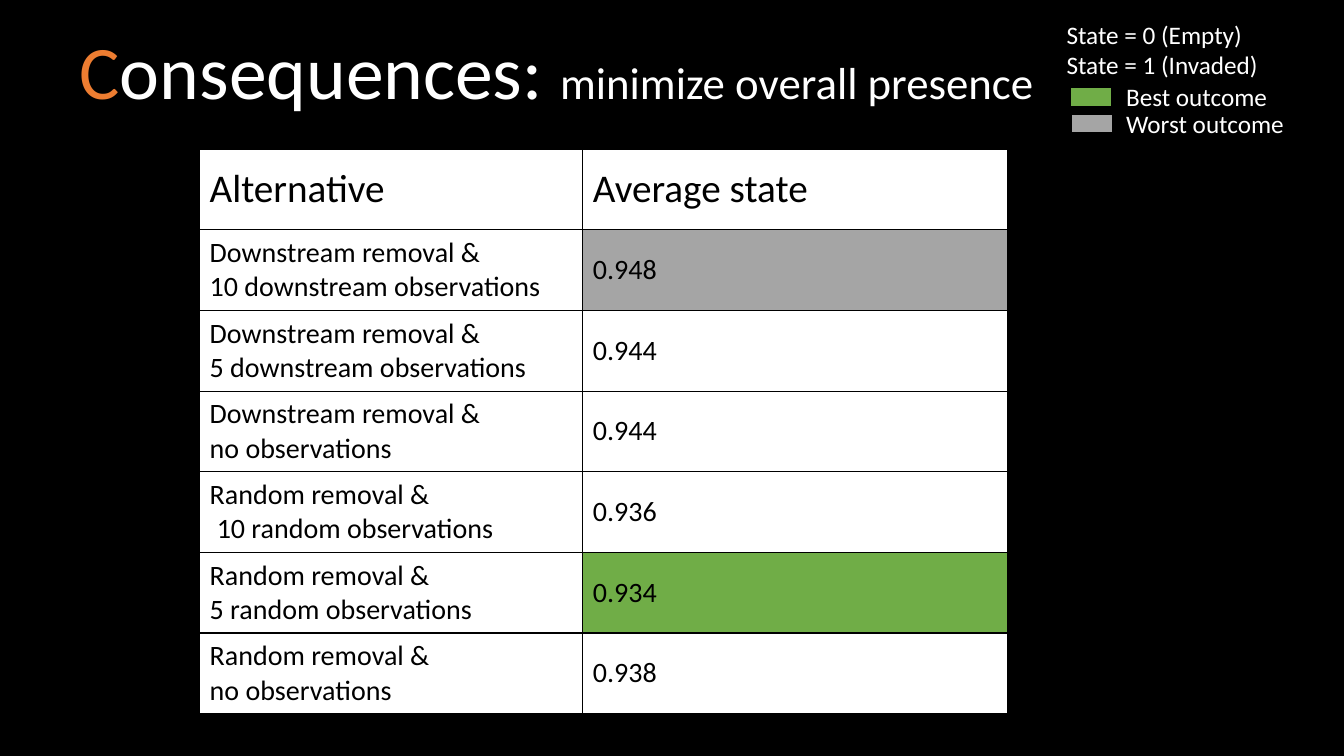
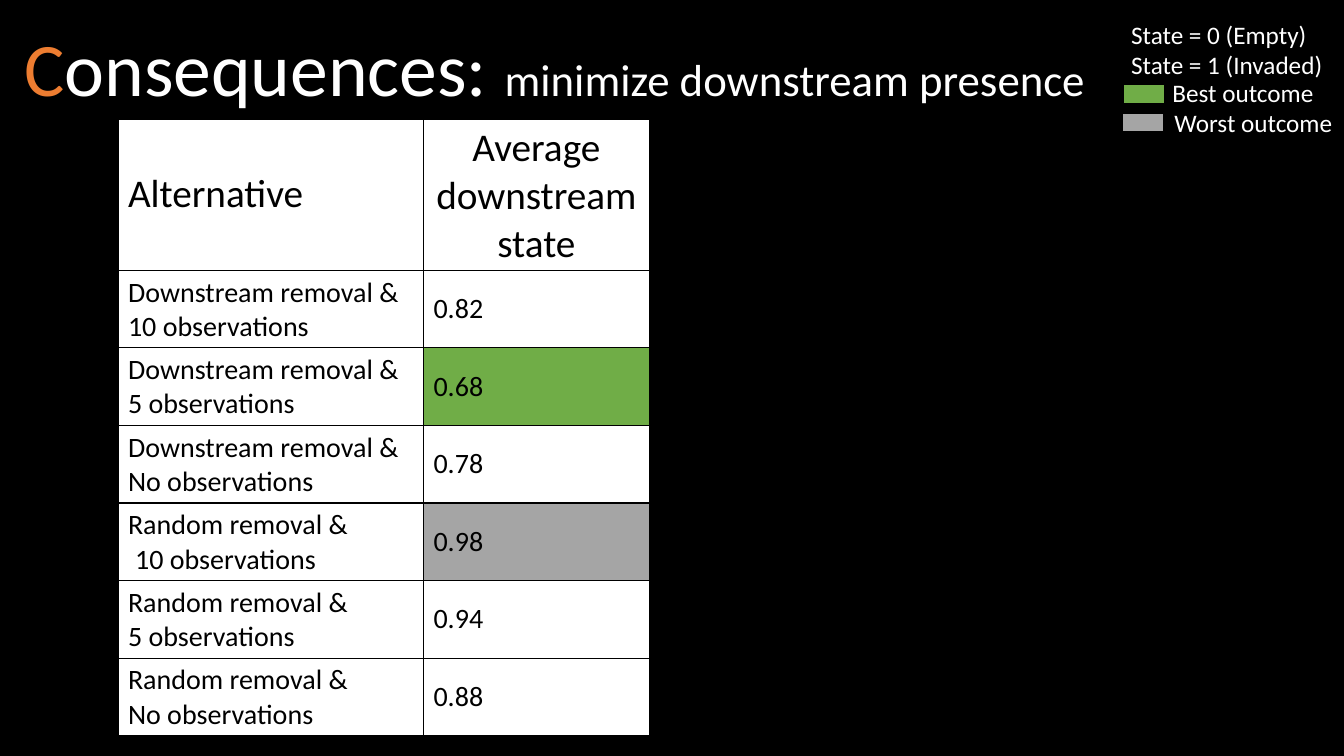
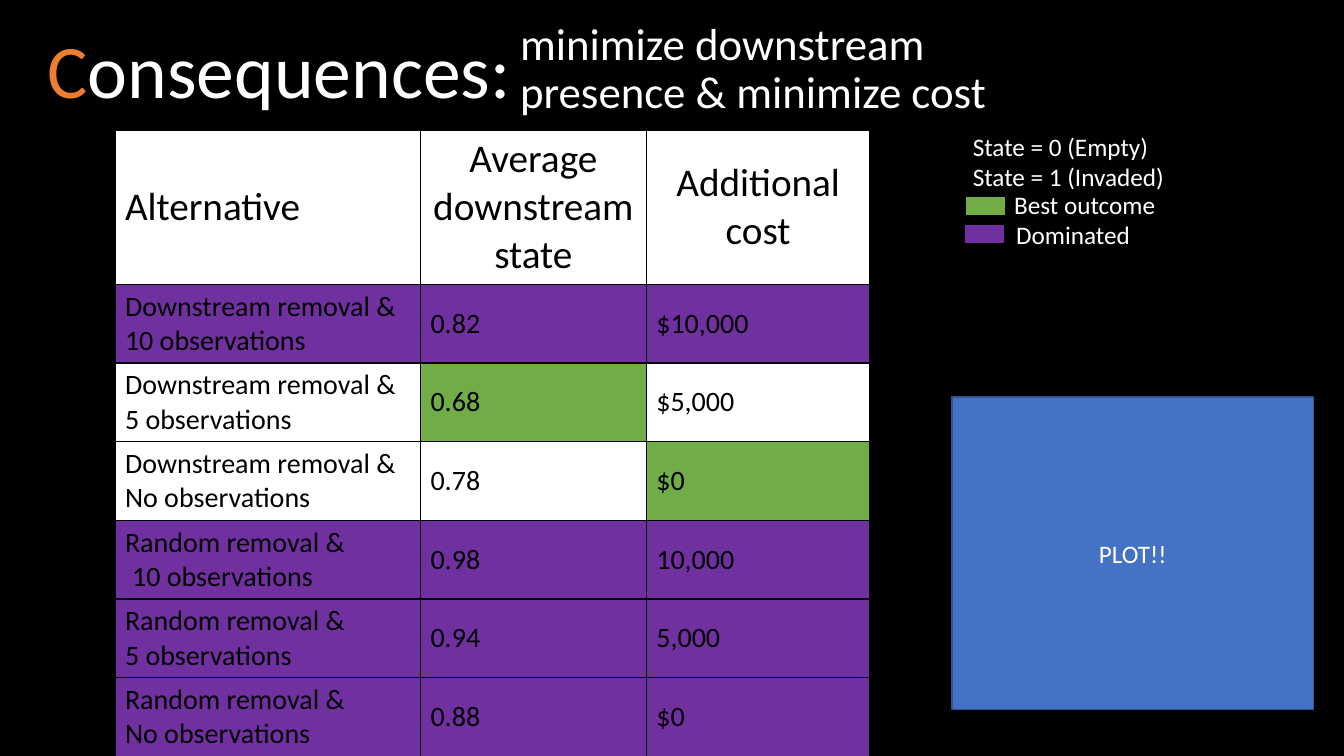
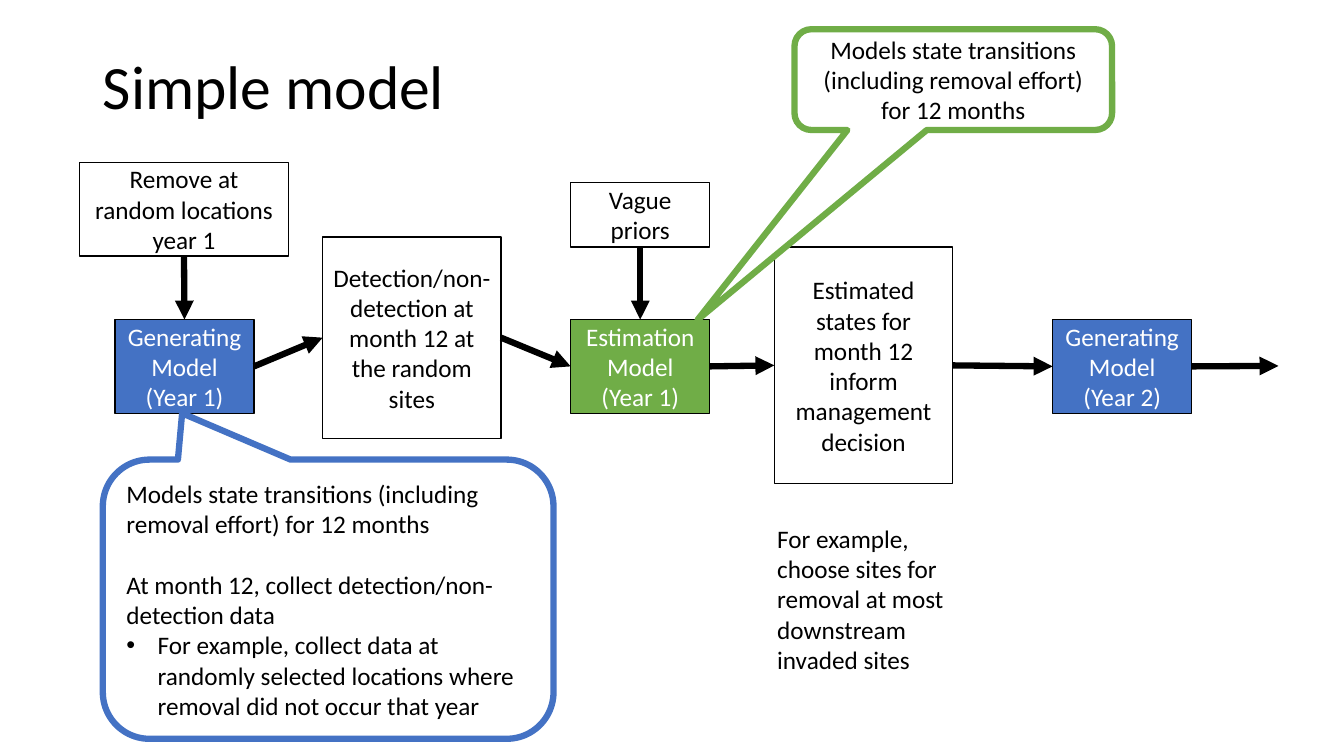
from itertools import product

from lxml.etree import SubElement
from pptx import Presentation
from pptx.dml.color import RGBColor
from pptx.enum.shapes import MSO_CONNECTOR, MSO_SHAPE
from pptx.enum.text import MSO_ANCHOR, MSO_AUTO_SIZE, PP_ALIGN
from pptx.oxml.ns import qn
from pptx.util import Inches, Pt

HUES = {
    "black": "000000", "white": "FFFFFF", "orange": "ED7D31",
    "green": "70AD47", "gray": "A5A5A5", "purple": "7030A0",
    "blue": "4472C4", "navy": "325491",
}
FONT = "Calibri"
TOP, LEFT, BOTTOM, RIGHT = range(4)
DOWN, RANDOM = "Downstream removal &", "Random removal &"
PLANS = list(product(
    (DOWN, RANDOM),
    ("10 observations", "5 observations", "No observations")))
STATES = ["0.82", "0.68", "0.78", "0.98", "0.94", "0.88"]
COSTS = ["$10,000", "$5,000", "$0", "10,000", "5,000", "$0"]
WIDE = ((0.14, 0.73, 0.59, 0.62), (0.15, 0.99, 0.59, 0.89))
TIGHT = ((0.02, 0.7, 0.41, 0.58), (0.01, 0.98, 0.43, 0.88))


def tint(name):
    return RGBColor.from_string(HUES[name])


class Deck:
    def __init__(self):
        self.file = Presentation()
        self.file.slide_width = Inches(13.33)
        self.file.slide_height = Inches(7.5)

    def page(self, back):
        self.slide = self.file.slides.add_slide(self.file.slide_layouts[5])
        fill = self.slide.background.fill
        fill.solid()
        fill.fore_color.rgb = tint(back)

    def style(self, para, size, hue, align=PP_ALIGN.LEFT):
        para.alignment = align
        font = para.font
        font.name, font.size, font.color.rgb = FONT, Pt(size), tint(hue)

    def fill_text(self, frame, lines, size=18, hue="white",
                  align=PP_ALIGN.LEFT):
        frame.word_wrap = True
        for i, line in enumerate(lines):
            para = frame.add_paragraph() if i else frame.paragraphs[0]
            para.text = line
            self.style(para, size, hue, align)

    def title(self, at, parts, lead=0.9):
        shape = self.slide.shapes.title
        shape.left, shape.top, shape.width, shape.height = map(Inches, at)
        frame = shape.text_frame
        frame.auto_size = MSO_AUTO_SIZE.NONE
        frame.word_wrap = True
        frame.vertical_anchor = MSO_ANCHOR.MIDDLE
        para = frame.paragraphs[0]
        para.alignment, para.line_spacing = PP_ALIGN.LEFT, lead
        para.font.name = FONT
        for words, size, hue in parts:
            run = para.add_run()
            run.text = words
            run.font.size, run.font.color.rgb = Pt(size), tint(hue)

    def head(self, at, goal="", lead=0.9):
        parts = [("C", 54, "orange"), ("onsequences:", 54, "white")]
        if goal:
            parts[1] = ("onsequences: ", 54, "white")
            parts.append((goal, 32, "white"))
        self.title(at, parts, lead)

    def text(self, at, lines, size=18):
        box = self.slide.shapes.add_textbox(*map(Inches, at))
        self.fill_text(box.text_frame, lines, size)
        return box.text_frame

    def shape(self, at, lines=(), fill="white", line="black", width=1,
              hue="black", kind=MSO_SHAPE.RECTANGLE, align=PP_ALIGN.CENTER):
        box = self.slide.shapes.add_shape(kind, *map(Inches, at))
        box.shadow.inherit = False
        if fill:
            box.fill.solid()
            box.fill.fore_color.rgb = tint(fill)
        else:
            box.fill.background()
        box.line.color.rgb, box.line.width = tint(line), Pt(width)
        box.text_frame.vertical_anchor = MSO_ANCHOR.MIDDLE
        self.fill_text(box.text_frame, lines, hue=hue, align=align)
        return box

    def callout(self, at, lines, line, tip, align=PP_ALIGN.CENTER):
        box = self.shape(at, lines, line=line, width=4.5, align=align,
                         kind=MSO_SHAPE.ROUNDED_RECTANGULAR_CALLOUT)
        for i, part in enumerate(tip):
            box.adjustments[i] = part
        return box

    def bullet(self, para):
        props = para._p.get_or_add_pPr()
        props.set("marL", str(Inches(0.31)))
        props.set("indent", str(-Inches(0.31)))
        font = SubElement(props, qn("a:buFont"))
        font.set("typeface", "Arial")
        SubElement(props, qn("a:buChar")).set("char", "•")

    def arrow(self, start, end=None, sides=(RIGHT, LEFT), point=(0, 0)):
        x, y = map(Inches, point)
        link = self.slide.shapes.add_connector(
            MSO_CONNECTOR.STRAIGHT, x, y, x, y)
        link.begin_connect(start, sides[0])
        if end is not None:
            link.end_connect(end, sides[1])
        link.line.color.rgb, link.line.width = tint("black"), Pt(4.5)
        props = link._element.spPr
        SubElement(props.find(qn("a:ln")), qn("a:tailEnd")).set(
            "type", "triangle")
        SubElement(props, qn("a:effectLst"))

    def legend(self, x, y, marks, places):
        self.text((x, y, 2.23, 0.71),
                  ["State = 0 (Empty)", "State = 1 (Invaded)"])
        for (hue, label), (dx, dy, tx, ty) in zip(marks, places):
            self.shape((x + dx, y + dy, 0.41, 0.19), fill=hue)
            self.text((x + tx, y + ty, 1.88, 0.4), [label])

    def cell(self, cell, lines, size, fill, align):
        props = cell._tc.get_or_add_tcPr()
        for side in ("lnL", "lnR", "lnT", "lnB"):
            edge = SubElement(props, qn("a:" + side))
            edge.set("w", str(Pt(1)))
            paint = SubElement(edge, qn("a:solidFill"))
            SubElement(paint, qn("a:srgbClr")).set("val", HUES["black"])
        cell.fill.solid()
        cell.fill.fore_color.rgb = tint(fill)
        cell.vertical_anchor = MSO_ANCHOR.MIDDLE
        self.fill_text(cell.text_frame, lines, size, "black", align)
        if lines[0] == RANDOM and lines[1].startswith("10"):
            props = cell.text_frame.paragraphs[1]._p.get_or_add_pPr()
            props.set("marL", str(Inches(0.07)))

    def table(self, spot, widths, top, step, heads, plans, values, marks,
              align=PP_ALIGN.CENTER):
        rows = [[[name] for name in heads]]
        rows += [[plan, *([item] for item in row)]
                 for plan, row in zip(plans, values)]
        size = (sum(widths), top + step * len(plans))
        grid = self.slide.shapes.add_table(
            len(rows), len(heads), *map(Inches, (*spot, *size))).table
        grid.first_row = grid.horz_banding = False
        for col, width in zip(grid.columns, widths):
            col.width = Inches(width)
        for r, row in enumerate(rows):
            grid.rows[r].height = Inches(step if r else top)
            for c, lines in enumerate(row):
                self.cell(grid.cell(r, c), lines, 20 if r else 28,
                          marks.get((r, c), "white"),
                          PP_ALIGN.LEFT if r or not c else align)


def overall(deck):
    deck.page("black")
    plans = [(DOWN, "10 downstream observations"),
             (DOWN, "5 downstream observations"),
             (DOWN, "no observations"),
             (RANDOM, "10 random observations"),
             (RANDOM, "5 random observations"),
             (RANDOM, "no observations")]
    means = ["0.948", "0.944", "0.944", "0.936", "0.934", "0.938"]
    deck.table((1.98, 1.48), (3.8, 4.21), 0.8, 0.8,
               ("Alternative", "Average state"), plans, zip(means),
               {(1, 1): "gray", (5, 1): "green"}, PP_ALIGN.LEFT)
    deck.head((0.69, 0.02, 10.98, 1.45), "minimize overall presence")
    deck.legend(10.48, 0.14, (("green", "Best outcome"),
                              ("gray", "Worst outcome")), WIDE)


def local(deck):
    deck.page("black")
    deck.legend(11.12, 0.14, (("green", "Best outcome"),
                              ("gray", "Worst outcome")), TIGHT)
    deck.head((0.14, -0.01, 10.98, 1.45), "minimize downstream presence")
    deck.table((1.17, 1.18), (3.03, 2.24), 1.49, 0.77,
               ("Alternative", "Average downstream state"), PLANS,
               zip(STATES), {(2, 1): "green", (4, 1): "gray"})


def cost(deck):
    deck.page("black")
    marks = {spot: "purple" for spot in product((1, 4, 5, 6), range(3))}
    marks.update({(2, 1): "green", (3, 2): "green"})
    deck.table((1.14, 1.29), (3.03, 2.24, 2.22), 1.53, 0.78,
               ("Alternative", "Average downstream state",
                "Additional cost"),
               PLANS, zip(STATES, COSTS), marks)
    deck.legend(9.55, 1.25, (("green", "Best outcome"),
                             ("purple", "Dominated")), TIGHT)
    deck.head((0.37, 0.17, 6.71, 1.01), lead=1.0)
    goal = deck.text((5.06, -0.03, 5.95, 1.45),
                     ["minimize downstream presence & minimize cost"], 32)
    goal.vertical_anchor = MSO_ANCHOR.MIDDLE
    goal.paragraphs[0].line_spacing = 0.9
    deck.shape((9.44, 3.94, 3.59, 3.1), ["PLOT!!"], "blue", "navy",
               hue="white")


def model(deck):
    deck.page("white")
    deck.title((0.92, 0.16, 11.5, 1.45), [("Simple model", 44, "black")])
    note = deck.shape(
        (7.61, 5.14, 1.9, 1.62),
        ["For example, choose sites for removal at most downstream "
         "invaded sites"],
        fill=None, line="white", width=0.75, align=PP_ALIGN.LEFT)
    note.text_frame.vertical_anchor = MSO_ANCHOR.TOP
    first, guess, second = [
        deck.shape((x, 3.17, 1.38, 0.93), [name, year], hue, hue="white")
        for x, name, year, hue in (
            (1.14, "Generating Model", "(Year 1)", "blue"),
            (5.66, "Estimation Model", "(Year 1)", "green"),
            (10.44, "Generating Model", "(Year 2)", "blue"))]
    remove, detect, prior, inform = [
        deck.shape(at, [words]) for at, words in (
            ((0.79, 1.61, 2.07, 0.93), "Remove at random locations year 1"),
            ((3.2, 2.35, 1.77, 2),
             "Detection/non-detection at month 12 at the random sites"),
            ((5.66, 1.81, 1.38, 0.64), "Vague priors"),
            ((7.68, 2.45, 1.77, 2.35),
             "Estimated states for month 12 inform management decision"))]
    for start, end in ((remove, first), (prior, guess)):
        deck.arrow(start, end, (BOTTOM, TOP))
    for start, end in ((first, detect), (detect, guess),
                       (guess, inform), (inform, second)):
        deck.arrow(start, end)
    deck.arrow(second, point=(12.68, 3.63))
    shift = ("Models state transitions (including removal effort) "
             "for 12 months")
    steps = deck.callout(
        (1.02, 4.56, 4.47, 2.77),
        [shift, "At month 12, collect detection/non-detection data"],
        "blue", (-0.324, -0.666, 0.167), PP_ALIGN.LEFT)
    frame = steps.text_frame
    frame.paragraphs[1].space_before = Pt(22)
    para = frame.add_paragraph()
    para.text = ("For example, collect data at randomly selected locations "
                 "where removal did not occur that year")
    deck.bullet(para)
    deck.style(para, 18, "black")
    deck.callout((7.88, 0.29, 3.15, 1), [shift], "green",
                 (-0.805, 2.382, 0.167))


def main():
    deck = Deck()
    for build in (overall, local, cost, model):
        build(deck)
    deck.file.save("out.pptx")


if __name__ == "__main__":
    main()
